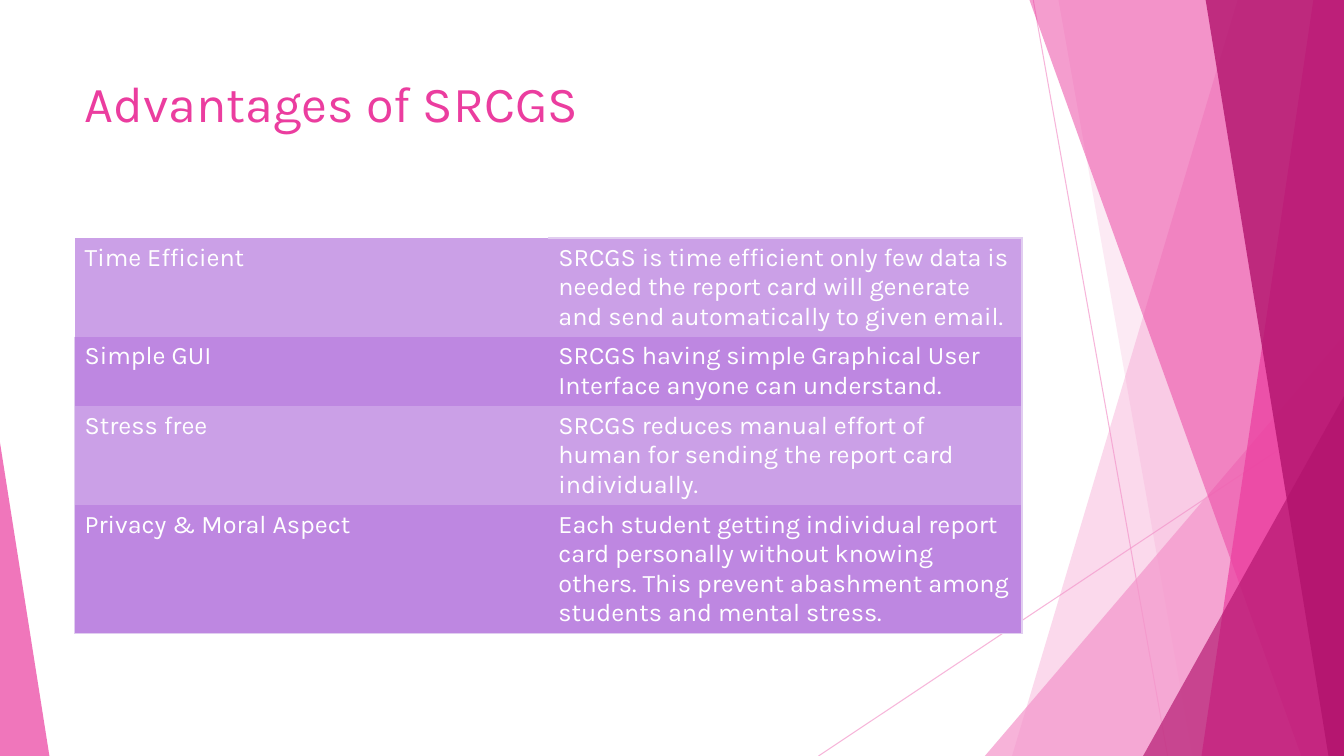
from dataclasses import dataclass

from lxml.etree import SubElement
from pptx import Presentation
from pptx.dml.color import RGBColor
from pptx.enum.shapes import MSO_CONNECTOR as CONN, MSO_SHAPE as SHAPE
from pptx.enum.text import MSO_ANCHOR, MSO_AUTO_SIZE, PP_ALIGN
from pptx.oxml.ns import qn
from pptx.util import Emu, Inches, Pt


@dataclass(frozen=True)
class Theme:
    """Colours, font and type sizes of the slide."""
    light: str = "F496CB"
    pink: str = "EB3D9F"
    dark: str = "B2136D"
    band: str = "CBA0E7"
    row: str = "BE87E1"
    border: str = "E1CDF0"
    white: str = "FFFFFF"
    font: str = "Karla"
    title: float = 36
    body: float = 18


@dataclass(frozen=True)
class Ray:
    """Thin line between two points, in percent of the slide."""
    x1: float
    y1: float
    x2: float
    y2: float


@dataclass(frozen=True)
class Facet:
    """Band from a slanted left edge to the slide's right edge."""
    top: float
    bottom: float
    color: str
    alpha: int


@dataclass(frozen=True)
class Corner:
    """Right triangle standing on the slide's bottom edge."""
    left: float
    top: float
    width: float
    apex: float
    color: str
    alpha: int


@dataclass(frozen=True)
class Advantage:
    """Table row with the number of lines its text takes."""
    name: str
    detail: str
    lines: int


T = Theme()
W, H = Inches(13.333), Inches(7.5)
LEFT, COLUMN = 5.55, 35.25
BLEED = -0.1

RAYS = [Ray(76.88, 0, 86.88, 100), Ray(100, 53.73, 60.9, 100)]
DECOR = [
    Facet(92.1, 75.3, T.light, 36),
    Facet(78.75, 88.73, T.light, 20),
    Corner(73.28, 44.4, 26.72, 1, T.light, 72),
    Facet(76.58, 96.83, T.pink, 50),
    Facet(97.73, 89.4, T.pink, 70),
    Facet(89.7, 98.85, T.dark, 80),
    Corner(85.05, 52.4, 14.95, 1, T.dark, 66),
    Corner(0, 58.53, 3.68, 0, T.pink, 70),
]
ADVANTAGES = [
    Advantage("Time Efficient", "SRCGS is time efficient only few data is needed the report card "
              "will generate and send automatically to given email.", 3),
    Advantage("Simple GUI", "SRCGS having simple Graphical User Interface anyone can "
              "understand.", 2),
    Advantage("Stress free", "SRCGS reduces manual effort of human for sending the report card "
              "individually.", 3),
    Advantage("Privacy & Moral Aspect", "Each student getting individual report card personally "
              "without knowing others. This prevent abashment among students and mental "
              "stress.", 4),
]


def across(share: float) -> Emu:
    """Turn a percentage of the slide's width into a length."""
    return Emu(round(W * share / 100))


def down(share: float) -> Emu:
    """Turn a percentage of the slide's height into a length."""
    return Emu(round(H * share / 100))


def set_alpha(s, percent: int) -> None:
    """Make the shape's colour partly transparent."""
    for color in s._element.spPr.iter(qn("a:srgbClr")):
        SubElement(color, qn("a:alpha"), val=str(percent * 1000))


def draw_ray(slide, ray: Ray) -> None:
    """Draw a thin translucent line."""
    s = slide.shapes.add_connector(CONN.STRAIGHT, across(ray.x1), down(ray.y1),
                                   across(ray.x2), down(ray.y2))
    s.line.color.rgb = RGBColor.from_string(T.light)
    s.line.width = Pt(0.75)
    set_alpha(s, 70)
    SubElement(s._element.spPr, qn("a:effectLst"))


def draw_decor(slide, item: Facet | Corner) -> None:
    """Draw a translucent facet or corner triangle."""
    if isinstance(item, Facet):
        builder = slide.shapes.build_freeform(across(item.top), down(BLEED))
        builder.add_line_segments([(across(100), down(BLEED)), (across(100), down(100)),
                                   (across(item.bottom), down(100))])
        s = builder.convert_to_shape()
    else:
        s = slide.shapes.add_shape(SHAPE.ISOSCELES_TRIANGLE, across(item.left), down(item.top),
                                   across(item.width), down(100 - item.top))
        s.adjustments[0] = item.apex
    s.shadow.inherit = False
    s.line.fill.background()
    s.fill.solid()
    s.fill.fore_color.rgb = RGBColor.from_string(item.color)
    set_alpha(s, item.alpha)


def format_text(p, size: float, color: str) -> None:
    """Set font, size and colour of a left-aligned paragraph."""
    p.alignment = PP_ALIGN.LEFT
    for r in p.runs:
        r.font.name, r.font.size = T.font, Pt(size)
        r.font.color.rgb = RGBColor.from_string(color)


def set_borders(cell, shown: str) -> None:
    """Draw the sides named in shown and hide the others."""
    for side in "LRTB":
        ln = SubElement(cell._tc.get_or_add_tcPr(), qn(f"a:ln{side}"), w=str(Pt(1)))
        if side in shown:
            SubElement(SubElement(ln, qn("a:solidFill")), qn("a:srgbClr"), val=T.border)
        else:
            SubElement(ln, qn("a:noFill"))


def outer_sides(row: int, col: int) -> str:
    """Name the bordered sides of a cell; the first one has none."""
    sides = "R" if col else "L" if row else ""
    if row == 0 and col:
        sides += "T"
    if row == len(ADVANTAGES) - 1:
        sides += "B"
    return sides


def draw_title(slide) -> None:
    """Place and format the title placeholder."""
    s = slide.shapes.title
    s.left, s.top, s.width, s.height = across(LEFT), down(8.93), across(2 * COLUMN), down(19.2)
    tf = s.text_frame
    tf.text = "Advantages of SRCGS"
    tf.word_wrap = True
    tf.auto_size = MSO_AUTO_SIZE.NONE
    tf.vertical_anchor = MSO_ANCHOR.TOP
    format_text(tf.paragraphs[0], T.title, T.pink)


def draw_table(slide) -> None:
    """Draw the two-column table of advantages."""
    heights = [Inches(0.1 + 0.29 * item.lines) for item in ADVANTAGES]
    table = slide.shapes.add_table(len(ADVANTAGES), 2, across(LEFT), down(31.47),
                                   across(2 * COLUMN), sum(heights)).table
    table.first_row = table.horz_banding = False
    for i, item in enumerate(ADVANTAGES):
        table.rows[i].height = heights[i]
        for j, text in enumerate((item.name, item.detail)):
            cell = table.cell(i, j)
            cell.text_frame.text = text
            format_text(cell.text_frame.paragraphs[0], T.body, T.white)
            set_borders(cell, outer_sides(i, j))
            cell.fill.solid()
            cell.fill.fore_color.rgb = RGBColor.from_string(T.row if i % 2 else T.band)


def main() -> None:
    """Build and save the slide."""
    prs = Presentation()
    prs.slide_width, prs.slide_height = W, H
    slide = prs.slides.add_slide(prs.slide_layouts.get_by_name("Title Only"))
    for ray in RAYS:
        draw_ray(slide, ray)
    for item in DECOR:
        draw_decor(slide, item)
    draw_title(slide)
    draw_table(slide)
    prs.save("out.pptx")


if __name__ == "__main__":
    main()
